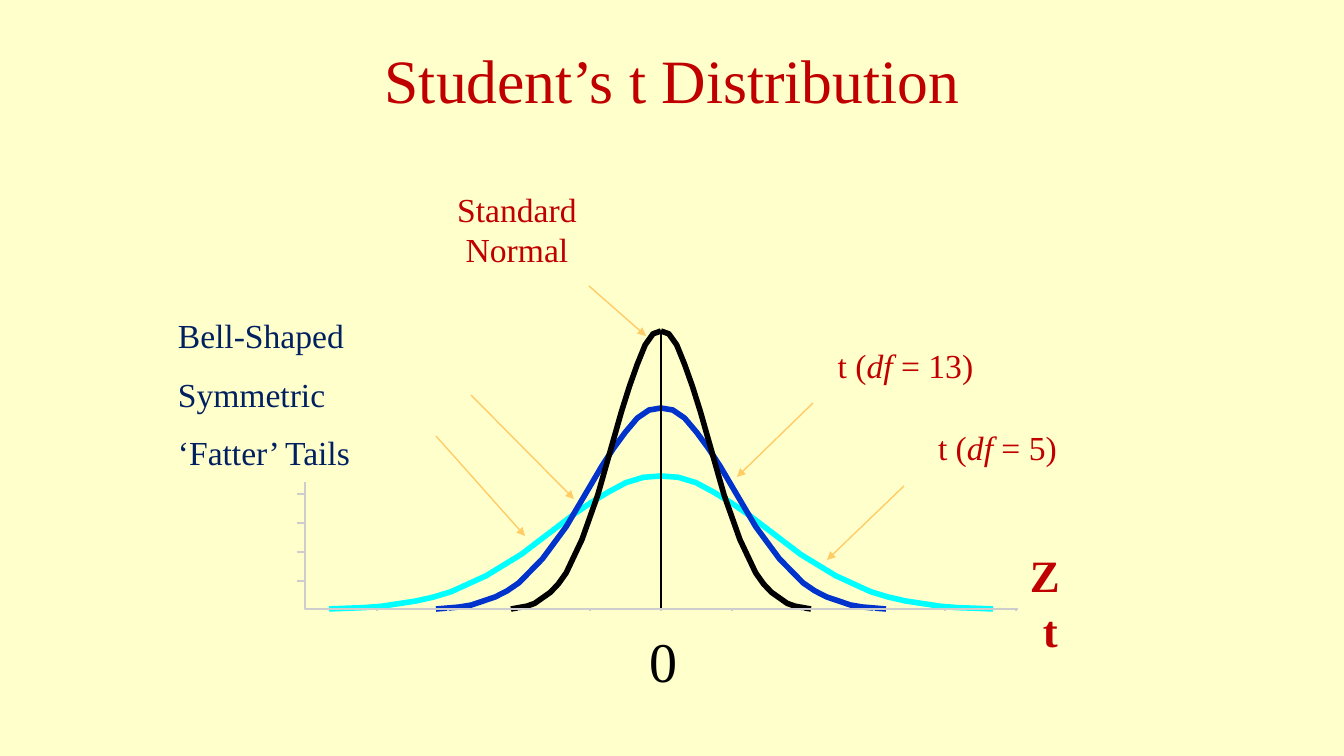
"""Builds a slide comparing Student's t curves with the standard normal curve."""
from typing import NamedTuple

from lxml.etree import SubElement
from pptx import Presentation
from pptx.dml.color import RGBColor
from pptx.enum.shapes import MSO_CONNECTOR as Connector, MSO_SHAPE as Preset
from pptx.enum.text import MSO_ANCHOR as Anchor, PP_ALIGN as Align
from pptx.oxml.ns import qn
from pptx.util import Pt

EMU_PER_PX = 914400 / 100.8
FONT = "Times New Roman"
CREAM, RED, NAVY, BLACK = "FFFFCC", "C00000", "002060", "000000"
CYAN, BLUE, GREY, AMBER = "00FFFF", "0033CC", "CDCDCD", "FFCC66"
CENTRE, BASE = 661, 609
PROFILE_STEPS = (0, 2, 3, 4, 5, 6, 7, 9, 11, 13, 14, 15, 16, 17, 18, 19)
PROFILE_HEIGHTS = (0, 0.01, 0.02, 0.04, 0.06, 0.09, 0.13, 0.25,
                   0.41, 0.61, 0.71, 0.8, 0.88, 0.95, 0.99, 1)


class Curve(NamedTuple):
    """A bell curve by its half width, height and colour."""
    half_width: int
    height: int
    colour: str


class Label(NamedTuple):
    """A text box with its place and format."""
    text: str
    left: int
    top: int
    width: int
    height: int
    size: int = 24
    colour: str = RED
    bold: bool = False
    align: Align = Align.CENTER
    wrap: bool = True


class Segment(NamedTuple):
    """A straight line between two points."""
    x1: int
    y1: int
    x2: int
    y2: int


T_CURVES = (Curve(332, 133, CYAN), Curve(225, 201, BLUE))
NORMAL_CURVE = Curve(150, 278, BLACK)
AXIS_LABELS = (
    Label("Z", 1020, 543, 50, 64, 32, bold=True, align=Align.LEFT, wrap=False),
    Label("t", 1033, 598, 35, 64, 32, bold=True, align=Align.LEFT, wrap=False),
    Label("0", 622, 622, 84, 77, 40, BLACK),
)
CURVE_LABELS = (
    Label("t (*df* = 5)", 878, 422, 239, 50),
    Label("Standard Normal", 395, 184, 244, 92),
    Label("t (*df* = 13)", 787, 340, 237, 50),
)
POINTERS = (
    Segment(589, 286, 646, 336),
    Segment(904, 486, 827, 560),
    Segment(813, 403, 737, 477),
    Segment(471, 395, 574, 499),
    Segment(436, 436, 525, 536),
)


def px(length: float) -> int:
    """Turn px into EMU."""
    return round(length * EMU_PER_PX)


def rgb(colour: str) -> RGBColor:
    """Turn a hex string into a colour."""
    return RGBColor.from_string(colour)


def write(frame, *paragraphs: str, size: int = 24, colour: str = RED,
          bold: bool = False, align: Align = Align.LEFT, gap: int = 0,
          wrap: bool = True, anchor: Anchor = Anchor.TOP) -> None:
    """Fill a text frame; words between asterisks become italic."""
    frame.word_wrap = wrap
    frame.vertical_anchor = anchor
    for index, text in enumerate(paragraphs):
        paragraph = frame.add_paragraph() if index else frame.paragraphs[0]
        paragraph.alignment = align
        if index:
            paragraph.space_before = Pt(gap)
        for part, words in enumerate(text.split("*")):
            run = paragraph.add_run()
            run.text = words
            run.font.name, run.font.size = FONT, Pt(size)
            run.font.bold, run.font.italic = bold, part % 2 == 1
            run.font.color.rgb = rgb(colour)


def add_label(shapes, label: Label) -> None:
    """Draw one text label."""
    box = shapes.add_textbox(px(label.left), px(label.top),
                             px(label.width), px(label.height))
    write(box.text_frame, label.text, size=label.size, colour=label.colour,
          bold=label.bold, align=label.align, wrap=label.wrap)


def add_segment(shapes, segment: Segment, colour: str, width: int,
                arrow: bool = False) -> None:
    """Draw one straight line, with an arrowhead if asked."""
    line = shapes.add_connector(Connector.STRAIGHT, *map(px, segment))
    line.line.color.rgb = rgb(colour)
    line.line.width = Pt(width)
    if arrow:
        SubElement(line.line._get_or_add_ln(), qn("a:tailEnd"), type="triangle")
    SubElement(line._element.spPr, qn("a:effectLst"))


def add_outline(shapes, points: list, colour: str, width: int) -> None:
    """Draw an open, unfilled path through the points."""
    (start_x, start_y), *rest = [(px(x), px(y)) for x, y in points]
    builder = shapes.build_freeform(start_x, start_y)
    builder.add_line_segments(rest, close=False)
    outline = builder.convert_to_shape()
    outline.shadow.inherit = False
    outline.fill.background()
    outline.line.color.rgb = rgb(colour)
    outline.line.width = Pt(width)


def add_curve(shapes, curve: Curve) -> None:
    """Draw the right and left halves of a bell curve."""
    for side in (1, -1):
        points = [(CENTRE + side * curve.half_width * (1 - step / 19),
                   BASE - curve.height * height)
                  for step, height in zip(PROFILE_STEPS, PROFILE_HEIGHTS)]
        add_outline(shapes, points, curve.colour, 4)


def add_axes(shapes) -> None:
    """Draw both axes and their ticks."""
    add_outline(shapes, [(305, 321), (305, BASE), (1018, BASE)], GREY, 2)
    for y in range(494, 582, 29):
        add_segment(shapes, Segment(297, y, 304, y), GREY, 2)
    for x in range(377, 1019, 71):
        add_segment(shapes, Segment(x, 610, x, 611), GREY, 2)


def add_properties(shapes) -> None:
    """Draw the panel that lists the properties of the curves."""
    panel = shapes.add_shape(Preset.RECTANGLE, px(168), px(310), px(313), px(172))
    panel.shadow.inherit = False
    panel.fill.solid()
    panel.fill.fore_color.rgb = rgb(CREAM)
    panel.line.fill.background()
    write(panel.text_frame, "Bell-Shaped", "Symmetric", "‘Fatter’ Tails",
          colour=NAVY, gap=13)


def add_title(title) -> None:
    """Place and format the slide title."""
    title.left, title.top, title.width, title.height = map(px, (219, 30, 907, 126))
    title.text_frame.margin_top = px(12)
    write(title.text_frame, "Student’s t Distribution", size=44, align=Align.CENTER)


def main() -> None:
    """Build and save the slide."""
    deck = Presentation()
    deck.slide_width, deck.slide_height = px(1344), px(756)
    slide = deck.slides.add_slide(deck.slide_layouts[5])
    slide.background.fill.solid()
    slide.background.fill.fore_color.rgb = rgb(CREAM)
    shapes = slide.shapes
    add_title(shapes.title)
    for curve in T_CURVES:
        add_curve(shapes, curve)
    add_segment(shapes, Segment(CENTRE, 333, CENTRE, 608), BLACK, 2)
    add_curve(shapes, NORMAL_CURVE)
    add_axes(shapes)
    add_properties(shapes)
    for label in AXIS_LABELS + CURVE_LABELS:
        add_label(shapes, label)
    for pointer in POINTERS:
        add_segment(shapes, pointer, AMBER, 1, arrow=True)
    deck.save("out.pptx")


if __name__ == "__main__":
    main()
